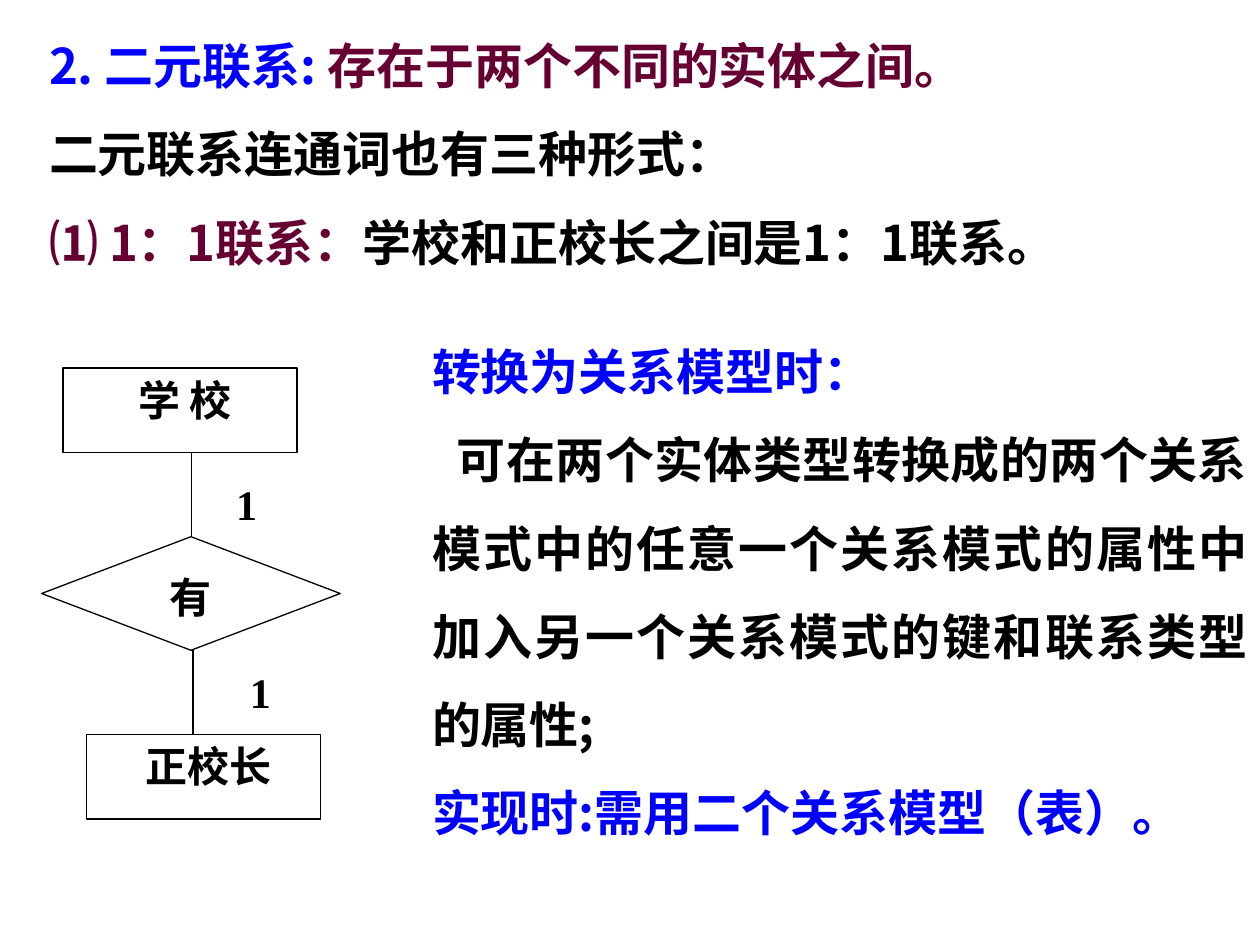
from lxml.etree import SubElement
from pptx import Presentation
from pptx.dml.color import RGBColor
from pptx.enum.shapes import MSO_CONNECTOR, MSO_SHAPE
from pptx.enum.text import MSO_ANCHOR, MSO_AUTO_SIZE, PP_ALIGN
from pptx.oxml.ns import qn
from pptx.util import Cm, Pt

SANS = "Noto Sans CJK SC"
SERIF = "Times New Roman"
BLACK, BLUE, WINE = "000000", "0000FF", "660033"


def tint(code):
    return RGBColor.from_string(code)


def write(par, text, font=SANS, size=28, color=BLACK):
    run = par.add_run()
    run.text = text
    run.font.name = font
    run.font.size = Pt(size)
    run.font.bold = True
    run.font.color.rgb = tint(color)
    SubElement(run.font._element, qn("a:ea")).set("typeface", SANS)


class Deck:
    def __init__(self, wide, high):
        self.show = Presentation()
        self.show.slide_width = Cm(wide)
        self.show.slide_height = Cm(high)
        self.slide = self.show.slides.add_slide(self.show.slide_layouts[6])
        self.group = None

    def start(self):
        self.group = self.slide.shapes.add_group_shape().shapes

    def frame(self, home, place):
        frame = home.add_textbox(*map(Cm, place)).text_frame
        frame.word_wrap = True
        frame.auto_size = MSO_AUTO_SIZE.SHAPE_TO_FIT_TEXT
        return frame

    def prose(self, place, lines):
        frame = self.frame(self.slide.shapes, place)
        for num, (indent, *parts) in enumerate(lines):
            par = frame.add_paragraph() if num else frame.paragraphs[0]
            par.alignment = PP_ALIGN.JUSTIFY
            par.line_spacing = 1.5
            par._p.get_or_add_pPr().set("indent", str(Cm(indent)))
            for text, color in parts:
                write(par, text, color=color)

    def label(self, place, text):
        par = self.frame(self.group, place).paragraphs[0]
        par.alignment = PP_ALIGN.CENTER
        write(par, text, font=SERIF, size=24)

    def node(self, kind, place, text, font):
        shape = self.group.add_shape(kind, *map(Cm, place))
        shape.shadow.inherit = False
        shape.fill.solid()
        shape.fill.fore_color.rgb = tint("FFFFFF")
        shape.line.color.rgb = tint(BLACK)
        shape.line.width = Pt(0.75)
        frame = shape.text_frame
        frame.vertical_anchor = MSO_ANCHOR.TOP
        par = frame.paragraphs[0]
        par.alignment = PP_ALIGN.CENTER
        write(par, text, font=font, size=24)

    def link(self, left, top, end):
        line = self.group.add_connector(
            MSO_CONNECTOR.STRAIGHT, Cm(left), Cm(top), Cm(left), Cm(end))
        line.line.color.rgb = tint(BLACK)
        line.line.width = Pt(0.75)
        SubElement(line._element.spPr, qn("a:effectLst"))


def main():
    deck = Deck(25.4, 19.05)
    deck.prose((0, 0, 25.4, 7.14), [
        (0.74, ("2. 二元联系: ", BLUE), ("存在于两个不同的实体之间。", WINE)),
        (0.74, ("二元联系连通词也有三种形式：", BLACK)),
        (0.74, ("⑴ 1：1联系：", WINE), ("学校和正校长之间是1：1联系。", BLACK)),
    ])

    deck.start()
    gap, top = 1.7, 7.42
    box, rhomb = MSO_SHAPE.RECTANGLE, MSO_SHAPE.FLOWCHART_DECISION
    for kind, left, wide, high, text, font, stem in [
        (box, 1.27, 4.72, 1.7, " 学 校", SANS, 3.86),
        (rhomb, 0.84, 6.02, 2.29, "有", SERIF, 3.89),
        (box, 1.75, 4.72, 1.7, " 正校长", SANS, None),
    ]:
        deck.node(kind, (left, top, wide, high), text, font)
        top += high
        if stem:
            deck.link(stem, top, top + gap)
        top += gap
    for left, top in [(4.17, 9.53), (4.45, 13.31)]:
        deck.label((left, top, 1.6, 1.27), "1")

    deck.prose((8.46, 6.17, 16.94, 10.95), [
        (0, ("转换为关系模型时：", BLUE)),
        (0.5, ("可在两个实体类型转换成的两个关系模式中的任意一个关系模式的"
               "属性中加入另一个关系模式的键和联系类型的属性;", BLACK)),
        (0, ("实现时:需用二个关系模型（表）。", BLUE)),
    ])
    deck.show.save("out.pptx")


if __name__ == "__main__":
    main()
